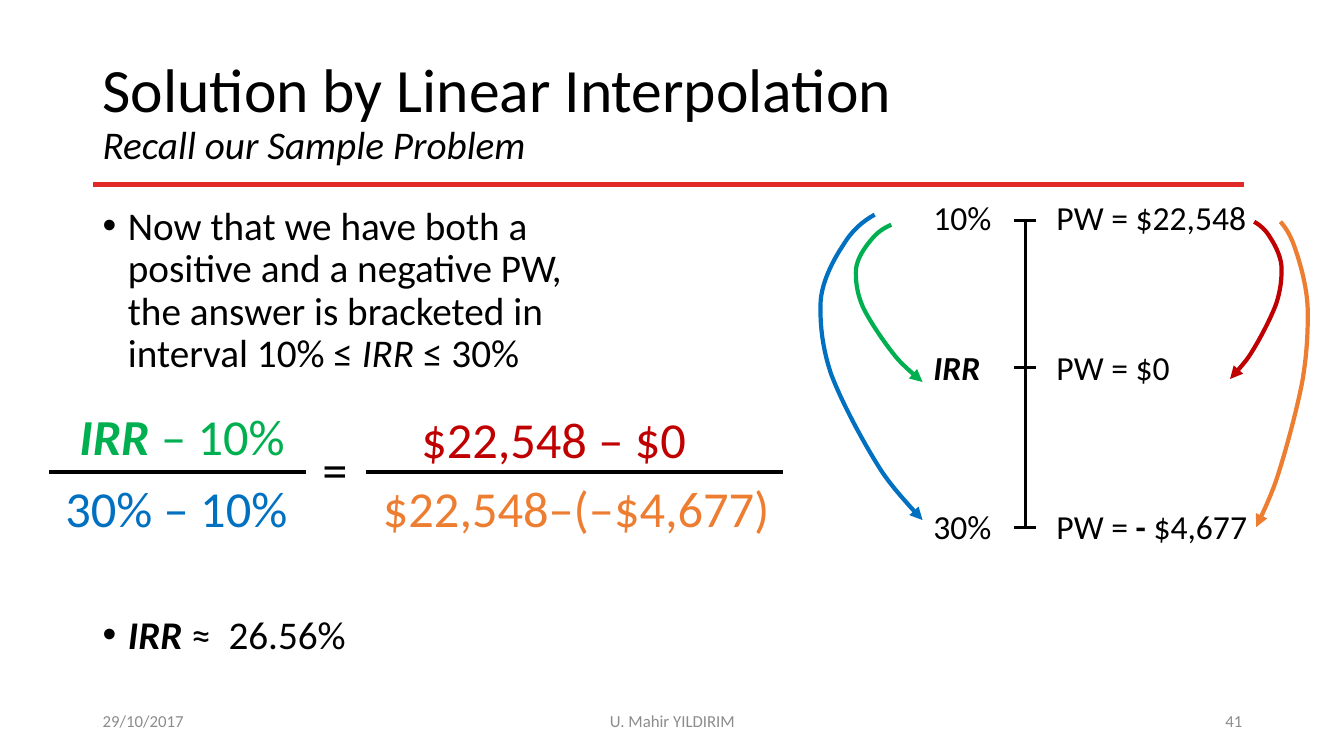
import pptx
import pptx.util
import pptx.dml.color
import pptx.enum.shapes
import pptx.enum.text
import pptx.oxml.ns

Inches, Pt = pptx.util.Inches, pptx.util.Pt
RGB = pptx.dml.color.RGBColor.from_string
ALIGN, ANCHOR = pptx.enum.text.PP_ALIGN, pptx.enum.text.MSO_ANCHOR
qn = pptx.oxml.ns.qn
COLORS = {"black": "000000", "rule": "E12927", "grey": "8C8C8C", "red": "C00000",
          "orange": "ED7D31", "green": "00B050", "blue": "0070C0"}

prs = pptx.Presentation()
prs.slide_width, prs.slide_height = Inches(13.33), Inches(7.5)
s = prs.slides.add_slide(prs.slide_layouts[6])


def add_runs(p, runs, size, color="black"):
    """Each run is a text and its style: any of b and i."""
    for text, style in runs:
        r = p.add_run()
        r.text = text
        r.font.name, r.font.size = "Calibri", Pt(size)
        r.font.bold, r.font.italic = "b" in style, "i" in style
        r.font.color.rgb = RGB(COLORS[color])


def add_text(box, runs, size, color="black", wrap=False, anchor=ANCHOR.TOP):
    tf = s.shapes.add_textbox(*[Inches(v) for v in box]).text_frame
    tf.word_wrap, tf.vertical_anchor = wrap, anchor
    add_runs(tf.paragraphs[0], runs, size, color)
    return tf


# Columns and rows, in inches
left, content_w = 0.92, 11.5
axis_x, tick, rate_x, worth_x = 10.17, 0.11, 9.16, 10.38
tick_rows = (2.19, 3.65, 5.23)
label_rows = (1.9, 3.39, 4.97)
bar_y, term_h = 4.68, 0.71

# Title with subtitle
tf = add_text((left, 0.4, content_w, 1.45), [("Solution by Linear Interpolation", "")],
              44, wrap=True, anchor=ANCHOR.MIDDLE)
p = tf.paragraphs[0]
p.line_spacing = 0.9
p.add_line_break()
add_runs(p, [("Recall our Sample Problem", "i")], 28)

# Bullets: the wide gap before the second leaves room for the equation
tf = add_text((left, 2, 4.88, 4.76),
              [("Now that we have both a positive and a negative PW, the answer is "
                "bracketed in interval 10% ≤ ", ""), ("IRR", "i"), (" ≤ 30%", "")],
              28, wrap=True)
add_runs(tf.add_paragraph(), [("IRR ", "bi"), ("≈  26.56%", "")], 28)
for p, gap in zip(tf.paragraphs, (10, 171)):
    p.line_spacing, p.space_before = 0.9, Pt(gap)
    pPr = p._p.get_or_add_pPr()
    pPr.set("marL", str(Inches(0.25)))
    pPr.set("indent", str(-Inches(0.25)))
    for tag, key, value in (("a:buFont", "typeface", "Arial"), ("a:buChar", "char", "•")):
        pPr.append(pPr.makeelement(qn(tag), {key: value}))

# Footer: outer boxes 3 wide at the margins, centre box between them
side_w, centre_w = 3, 4.5
for x, w, text, align in (
        (left, side_w, "29/10/2017", ALIGN.LEFT),
        (left + (content_w - centre_w) / 2, centre_w, "U. Mahir YILDIRIM", ALIGN.CENTER),
        (left + content_w - side_w, side_w, "41", ALIGN.RIGHT)):
    tf = add_text((x, 6.95, w, 0.4), [(text, "")], 12, "grey", True, ANCHOR.MIDDLE)
    tf.paragraphs[0].alignment = align

# Straight lines: title rule, axis, fraction bars, axis ticks
lines = [(left, 1.83, 12.34, 1.83, "rule", 3),
         (axis_x, tick_rows[0], axis_x, tick_rows[-1], "black", 2.25),
         (0.49, bar_y, 3.04, bar_y, "black", 3),
         (3.63, bar_y, 7.77, bar_y, "black", 3)]
lines += [(axis_x - tick, y, axis_x + tick, y, "black", 2.25) for y in tick_rows]
for x1, y1, x2, y2, color, width in lines:
    c = s.shapes.add_connector(pptx.enum.shapes.MSO_CONNECTOR.STRAIGHT,
                               Inches(x1), Inches(y1), Inches(x2), Inches(y2))
    c.line.color.rgb = RGB(COLORS[color])
    c.line.width = Pt(width)
    spPr = c._element.spPr
    spPr.append(spPr.makeelement(qn("a:effectLst"), {}))

# Axis labels: rate on the left, present worth on the right
labels = [(("10%", ""), [("PW = $22,548", "")], 2.1),
          (("IRR", "bi"), [("PW = $0", "")], 1.33),
          (("30%", ""), [("PW = ", ""), ("- ", "b"), ("$4,677", "")], 2.11)]
for y, (rate, worth, worth_w) in zip(label_rows, labels):
    add_text((rate_x, y, 0.78, 0.5), [rate], 24, wrap=rate[0] == "IRR")
    add_text((worth_x, y, worth_w, 0.5), worth, 24)

# Interpolation equation: each term has the colour of the arrow it measures
for x, y, w, runs, color in (
        (0.69, bar_y - term_h, 2.26, [("IRR", "bi"), (" – 10%", "")], "green"),
        (0.55, bar_y, 2.43, [("30% – 10%", "")], "blue"),
        (3.1, 4.3, 0.45, [("=", "")], "black"),
        (4.08, 4, 2.85, [("$22,548 – $0", "")], "red"),
        (3.7, bar_y, 4.08, [("$22,548–(–$4,677)", "")], "orange")):
    add_text((x, y, w, term_h), runs, 36, color)

# One bow shape serves all four arrows: a start point, then five Bezier pieces of three.
# Across runs from 0 at the bulge to 1 at the tip, down from 0 at the top to 1 at the tip.
bow_across = (.53, .42, .31, .22, .14, .02, 0, -.01, .01, .1, .2, .41, .56, .65, .83, 1)
bow_down = (0, .02, .05, .1, .14, .21, .28, .35, .43, .52, .61, .74, .82, .87, .94, 1)
short_h, long_h = 1.56, 3.03
for color, bulge_x, tip_x, top, height in (("red", 12.71, 12.2, 2.2, short_h),
                                           ("orange", 12.97, 12.46, 2.2, long_h),
                                           ("green", 8.49, 9.15, 2.23, short_h),
                                           ("blue", 8.14, 9.15, 2.13, long_h)):
    points = [(Inches(bulge_x + across * (tip_x - bulge_x)), Inches(top + down * height))
              for across, down in zip(bow_across, bow_down)]
    builder = s.shapes.build_freeform(*points[0])
    builder.add_line_segments(points[1:], close=False)
    sp = builder.convert_to_shape()
    sp.shadow.inherit = False
    sp.fill.background()
    sp.line.color.rgb = RGB(COLORS[color])
    sp.line.width = Pt(3)
    ln = sp._element.spPr.find(qn("a:ln"))
    ln.append(ln.makeelement(qn("a:tailEnd"), {"type": "triangle"}))
    # Turn every three line segments into one cubic piece
    segments = list(sp._element.iter(qn("a:lnTo")))
    for i in range(0, len(segments), 3):
        cubic = ln.makeelement(qn("a:cubicBezTo"), {})
        segments[i].addprevious(cubic)
        for segment in segments[i:i + 3]:
            cubic.append(segment[0])
            segment.getparent().remove(segment)

prs.save("out.pptx")
